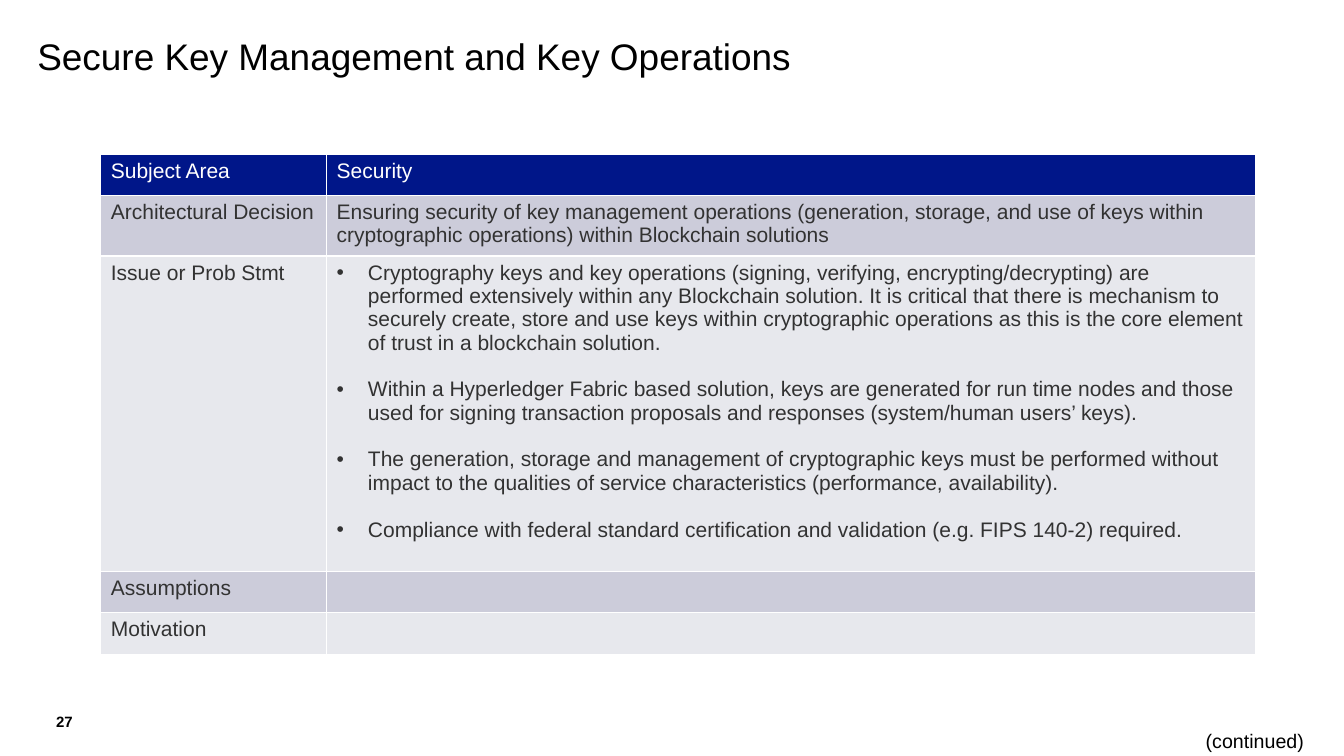
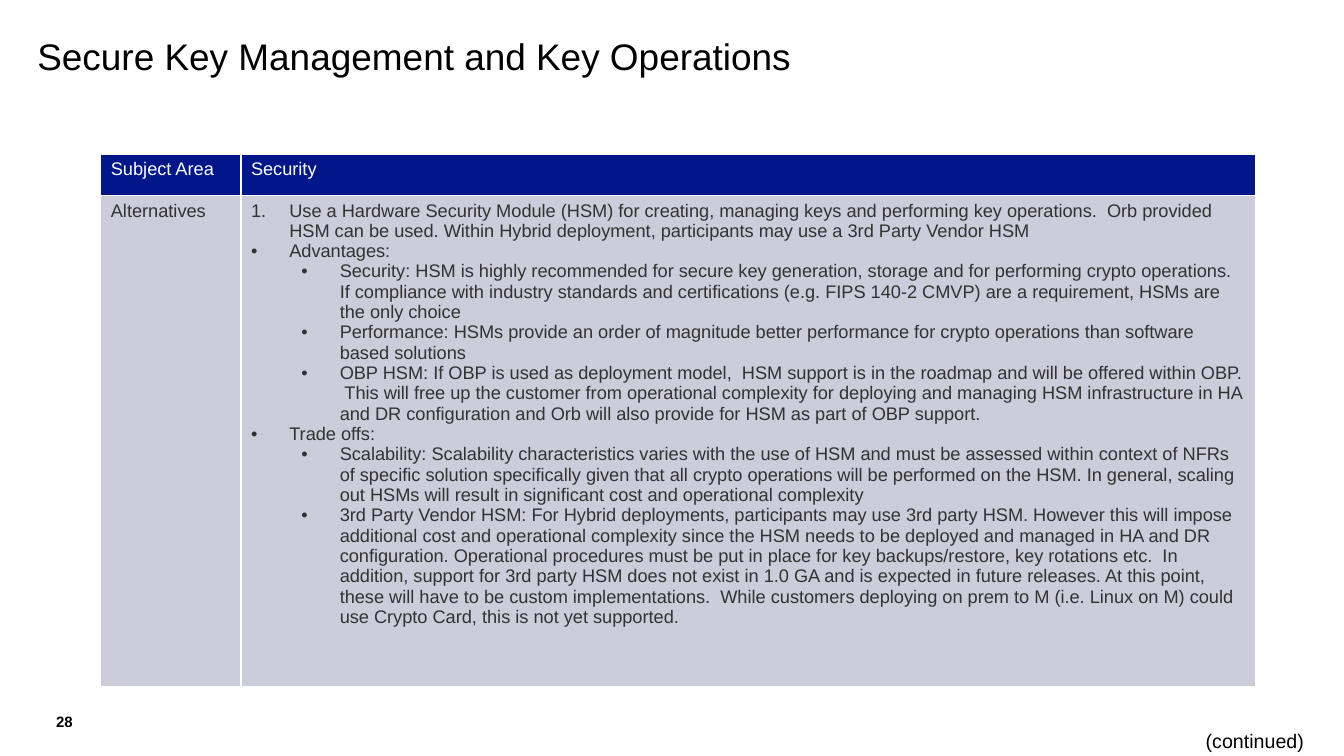
"""Build two architecture decision slides on secure key management."""
from lxml import etree
from pptx import Presentation
from pptx.dml.color import RGBColor
from pptx.enum.text import MSO_ANCHOR, MSO_AUTO_SIZE, PP_ALIGN
from pptx.oxml.ns import qn
from pptx.util import Inches, Pt

LEFT, CENTER = PP_ALIGN.LEFT, PP_ALIGN.CENTER
TOP, MIDDLE = MSO_ANCHOR.TOP, MSO_ANCHOR.MIDDLE
NO_FIT, GROW = MSO_AUTO_SIZE.NONE, MSO_AUTO_SIZE.SHAPE_TO_FIT_TEXT

FONT = "Arial"
BLACK, WHITE, BODY_INK = "000000", "FFFFFF", "323232"
HEADER_FILL, BAND_FILLS = "001689", ("CCCCDA", "E7E8ED")
SLIDE_W, SLIDE_H = 13.33, 7.5
MARGIN = 0.37
TABLE_LEFT, TABLE_TOP, TABLE_W = 1, 1.53, 11.45
LEVEL_STEP = 0.5

TITLE = "Secure Key Management and Key Operations"
CONTINUED = "(continued)"
HEADER = ("Subject Area", "Security")
NUMBER, BULLET = "1.", "•"

ISSUES = [
    (BULLET, 0, "Cryptography keys and key operations (signing, verifying, encrypting/decrypting) are performed extensively within any Blockchain solution. It is critical that there is mechanism to securely create, store and use keys within cryptographic operations as this is the core element of trust in a blockchain solution."),
    (BULLET, 0, "Within a Hyperledger Fabric based solution, keys are generated for run time nodes and those used for signing transaction proposals and responses (system/human users’ keys)."),
    (BULLET, 0, "The generation, storage and management of cryptographic keys must be performed without impact to the qualities of service characteristics (performance, availability)."),
    (BULLET, 0, "Compliance with federal standard certification and validation (e.g. FIPS 140-2) required."),
]
ALTERNATIVES = [
    (NUMBER, 0, "Use a Hardware Security Module (HSM) for creating, managing keys and performing key operations.  Orb provided HSM can be used. Within Hybrid deployment, participants may use a 3rd Party Vendor HSM"),
    (BULLET, 0, "Advantages:"),
    (BULLET, 1, "Security: HSM is highly recommended for secure key generation, storage and for performing crypto operations.  If compliance with industry standards and certifications (e.g. FIPS 140-2 CMVP) are a requirement, HSMs are the only choice"),
    (BULLET, 1, "Performance: HSMs provide an order of magnitude better performance for crypto operations than software based solutions"),
    (BULLET, 1, "OBP HSM: If OBP is used as deployment model,  HSM support is in the roadmap and will be offered within OBP.  This will free up the customer from operational complexity for deploying and managing HSM infrastructure in HA and DR configuration and Orb will also provide for HSM as part of OBP support."),
    (BULLET, 0, "Trade offs:"),
    (BULLET, 1, "Scalability: Scalability characteristics varies with the use of HSM and must be assessed within context of NFRs of specific solution specifically given that all crypto operations will be performed on the HSM. In general, scaling out HSMs will result in significant cost and operational complexity"),
    (BULLET, 1, "3rd Party Vendor HSM: For Hybrid deployments, participants may use 3rd party HSM. However this will impose additional cost and operational complexity since the HSM needs to be deployed and managed in HA and DR configuration. Operational procedures must be put in place for key backups/restore, key rotations etc.  In addition, support for 3rd party HSM does not exist in 1.0 GA and is expected in future releases. At this point, these will have to be custom implementations.  While customers deploying on prem to M (i.e. Linux on M) could use Crypto Card, this is not yet supported."),
]
SLIDES = [
    {"number": "27", "size": 15, "label_w": 2.24, "indent": 0.31, "gap": 16.75,
     "heights": (0.41, 0.59, 3.13, 0.41, 0.41),
     "rows": [
         ("Architectural Decision", "Ensuring security of key management operations (generation, storage, and use of keys within cryptographic operations) within Blockchain solutions"),
         ("Issue or Prob Stmt", ISSUES),
         ("Assumptions", ""),
         ("Motivation", ""),
     ]},
    {"number": "28", "size": 13, "label_w": 1.39, "indent": 0.38, "gap": 0,
     "heights": (0.41, 4.87), "rows": [("Alternatives", ALTERNATIVES)]},
]
FRAME_FORMATS = {
    "title": {"margin_left": 0, "margin_top": 0, "margin_right": 0, "margin_bottom": 0,
              "vertical_anchor": MIDDLE, "auto_size": NO_FIT, "word_wrap": True},
    "number": {"margin_left": 0, "margin_top": 0, "margin_right": 0, "margin_bottom": 0,
               "vertical_anchor": MIDDLE, "word_wrap": True},
    "continued": {"vertical_anchor": TOP, "auto_size": GROW, "word_wrap": False},
}


def rgb(value):
    """Turn a hex string into a colour."""
    return RGBColor.from_string(value)


def apply(target, formats):
    """Set each named attribute of the target."""
    for name, value in formats.items():
        setattr(target, name, value)


def place(shape, left, top, width, height):
    """Move and size a shape in inches."""
    apply(shape, {"left": Inches(left), "top": Inches(top),
                  "width": Inches(width), "height": Inches(height)})


def write(paragraph, text, size, color, bold=False):
    """Write one formatted run."""
    run = paragraph.add_run()
    run.text = text
    apply(run.font, {"name": FONT, "size": Pt(size), "bold": bold})
    run.font.color.rgb = rgb(color)


def mark(paragraph, marker, level, indent):
    """Give a paragraph a hanging bullet or number."""
    paragraph.level = level
    props = paragraph._p.get_or_add_pPr()
    props.set("marL", str(Inches(indent + level * LEVEL_STEP)))
    props.set("indent", str(-Inches(indent)))
    etree.SubElement(props, qn("a:buFont")).set("typeface", FONT)
    if marker == NUMBER:
        etree.SubElement(props, qn("a:buAutoNum")).set("type", "arabicPeriod")
    else:
        etree.SubElement(props, qn("a:buChar")).set("char", marker)


def fill_cell(cell, content, fill, color, page):
    """Fill a table cell with plain text or a marked list."""
    cell.fill.solid()
    cell.fill.fore_color.rgb = rgb(fill)
    frame = cell.text_frame
    if isinstance(content, str):
        write(frame.paragraphs[0], content, page["size"], color)
        return
    for index, (marker, level, text) in enumerate(content):
        paragraph = frame.add_paragraph() if index else frame.paragraphs[0]
        mark(paragraph, marker, level, page["indent"])
        if index and page["gap"]:
            paragraph.space_before = Pt(page["gap"])
        write(paragraph, text, page["size"], color)


def add_decision_table(slide, page):
    """Add the decision table with its header and banded rows."""
    rows = [HEADER, *page["rows"]]
    table = slide.shapes.add_table(
        len(rows), len(HEADER), Inches(TABLE_LEFT), Inches(TABLE_TOP),
        Inches(TABLE_W), Inches(sum(page["heights"]))).table
    for column, width in zip(table.columns, (page["label_w"], TABLE_W - page["label_w"])):
        column.width = Inches(width)
    for index, (contents, height) in enumerate(zip(rows, page["heights"])):
        table.rows[index].height = Inches(height)
        fill = BAND_FILLS[(index - 1) % 2] if index else HEADER_FILL
        for cell, content in zip(table.rows[index].cells, contents):
            fill_cell(cell, content, fill, BODY_INK if index else WHITE, page)


def add_frame(slide, page):
    """Format the title and add the page number and continuation note."""
    title = slide.shapes.title
    number, continued = (slide.shapes.add_textbox(0, 0, 0, 0) for _ in range(2))
    place(title, MARGIN, MARGIN, 12.57, 0.43)
    place(number, MARGIN, 7.01, 0.54, 0.29)
    place(continued, 11.86, 7.18, 1.18, 0.34)
    parts = [(title, "title", TITLE, 26.4, LEFT),
             (number, "number", page["number"], 10.7, CENTER),
             (continued, "continued", CONTINUED, 14, LEFT)]
    for part, role, text, size, align in parts:
        apply(part.text_frame, FRAME_FORMATS[role])
        paragraph = part.text_frame.paragraphs[0]
        paragraph.alignment = align
        write(paragraph, text, size, BLACK, role == "number")
    title.text_frame.paragraphs[0].line_spacing = 0.9


def main():
    """Build and save the presentation."""
    deck = Presentation()
    deck.slide_width, deck.slide_height = Inches(SLIDE_W), Inches(SLIDE_H)
    title_only = deck.slide_layouts[5]
    for page in SLIDES:
        slide = deck.slides.add_slide(title_only)
        add_frame(slide, page)
        add_decision_table(slide, page)
    deck.save("out.pptx")


if __name__ == "__main__":
    main()
